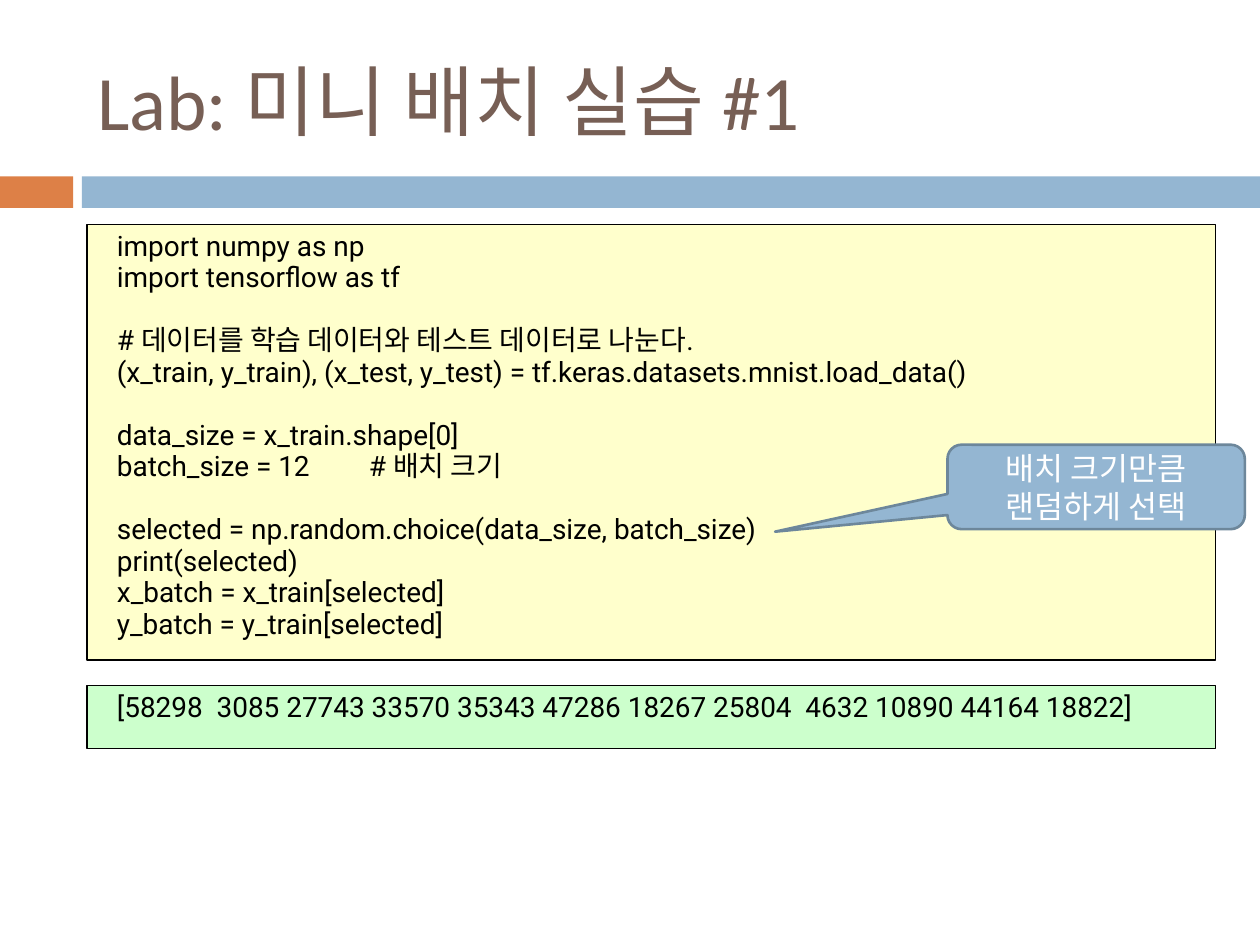
"""Build a slide with a mini-batch code lab, its output and a callout."""
import pptx
import pptx.dml.color
import pptx.enum.shapes
import pptx.enum.text
import pptx.oxml
import pptx.oxml.ns
import pptx.util

RGB = pptx.dml.color.RGBColor
KIND = pptx.enum.shapes.MSO_SHAPE
SIDE = pptx.enum.text.PP_ALIGN
ANCHOR = pptx.enum.text.MSO_ANCHOR

BROWN = RGB(0x77, 0x5F, 0x55)
RUST = RGB(0xDD, 0x80, 0x47)
BLUE = RGB(0x94, 0xB6, 0xD2)
SLATE = RGB(0x6D, 0x87, 0x9B)
CREAM = RGB(0xFF, 0xFF, 0xCC)
MINT = RGB(0xCC, 0xFF, 0xCC)
BLACK = RGB(0, 0, 0)
WHITE = RGB(0xFF, 0xFF, 0xFF)

CODE = [
    ["import numpy as np", "import tensorflow as tf"],
    ["# 데이터를 학습 데이터와 테스트 데이터로 나눈다.",
     "(x_train, y_train), (x_test, y_test) = tf.keras.datasets.mnist.load_data()"],
    ["data_size = x_train.shape[0]", "batch_size = 12\t# 배치 크기"],
    ["selected = np.random.choice(data_size, batch_size)", "print(selected)",
     "x_batch = x_train[selected]", "y_batch = y_train[selected]"],
]
RESULT = [["[58298  3085 27743 33570 35343 47286 18267 25804  4632 10890 44164 18822]"]]


class Page:
    """Hold the style and the slide, on a grid of 100 columns by 75 rows."""

    body = "Calibri"
    mono = "Roboto"
    lead = pptx.util.Pt(18)

    def __init__(self, deck):
        """Add a title-only slide to the deck."""
        self.col = deck.slide_width / 100
        self.row = deck.slide_height / 75
        self.slide = deck.slides.add_slide(deck.slide_layouts[5])

    def place(self, left, top, width, height):
        """Turn grid units into lengths."""
        return (round(left * self.col), round(top * self.row),
                round(width * self.col), round(height * self.row))

    def label(self, para, text, size, name, color):
        """Add one run with its font."""
        run = para.add_run()
        run.text = text
        run.font.size = pptx.util.Pt(size)
        run.font.name = name
        run.font.color.rgb = color

    def title(self, text, *spot):
        """Move and fill the title placeholder."""
        shape = self.slide.shapes.title
        shape.left, shape.top, shape.width, shape.height = self.place(*spot)
        frame = shape.text_frame
        frame.vertical_anchor = ANCHOR.MIDDLE
        frame.paragraphs[0].alignment = SIDE.LEFT
        self.label(frame.paragraphs[0], text, 44, self.body, BROWN)

    def box(self, fill, *spot, kind=KIND.RECTANGLE, line=None, width=0.75):
        """Draw a filled shape with an optional outline."""
        shape = self.slide.shapes.add_shape(kind, *self.place(*spot))
        shape.shadow.inherit = False
        shape.fill.solid()
        shape.fill.fore_color.rgb = fill
        if line is None:
            shape.line.fill.background()
        else:
            shape.line.color.rgb = line
            shape.line.width = pptx.util.Pt(width)
        shape.text_frame.word_wrap = True
        return shape

    def code(self, blocks, fill, *spot):
        """Draw a listing whose blocks stand one line apart."""
        frame = self.box(fill, *spot, line=BLACK).text_frame
        frame.vertical_anchor = ANCHOR.TOP
        lines = [(text, part > 0 and row == 0)
                 for part, block in enumerate(blocks)
                 for row, text in enumerate(block)]
        for count, (text, gap) in enumerate(lines):
            para = frame.add_paragraph() if count else frame.paragraphs[0]
            self.indent(para)
            para.alignment = SIDE.LEFT
            para.line_spacing = self.lead
            if gap:
                para.space_before = self.lead
            self.label(para, text, 16, self.mono, BLACK)

    def indent(self, para):
        """Set the left margin and the tab stop of a code line."""
        props = para._p.get_or_add_pPr()
        props.set("marL", str(pptx.util.Inches(0.14)))
        props.set("indent", "0")
        props.append(pptx.oxml.parse_xml(
            f'<a:tabLst {pptx.oxml.ns.nsdecls("a")}>'
            f'<a:tab pos="{pptx.util.Inches(0.28)}" algn="l"/></a:tabLst>'))

    def note(self, text, tip, *spot):
        """Draw a callout whose tip is given as shares of its size."""
        shape = self.box(BLUE, *spot, kind=KIND.ROUNDED_RECTANGULAR_CALLOUT,
                         line=SLATE, width=1.5)
        shape.adjustments[0], shape.adjustments[1] = tip
        frame = shape.text_frame
        frame.vertical_anchor = ANCHOR.MIDDLE
        frame.paragraphs[0].alignment = SIDE.CENTER
        self.label(frame.paragraphs[0], text, 18, self.body, WHITE)


def main():
    """Build and save the deck."""
    deck = pptx.Presentation()
    deck.slide_width = pptx.util.Inches(10)
    deck.slide_height = pptx.util.Inches(7.5)
    page = Page(deck)
    page.box(RUST, 0, 14, 5.8, 2.5)
    page.box(BLUE, 6.5, 14, 93.5, 2.5)
    page.title("Lab: 미니 배치 실습 #1", 6.7, 2.5, 89.2, 10.8)
    page.code(CODE, CREAM, 6.9, 17.8, 89.6, 34.6)
    page.code(RESULT, MINT, 6.9, 54.4, 89.6, 5)
    page.note("배치 크기만큼 랜덤하게 선택", (-1.08, 0.53), 75.2, 35.3, 23.6, 6.7)
    deck.save("out.pptx")


if __name__ == "__main__":
    main()
